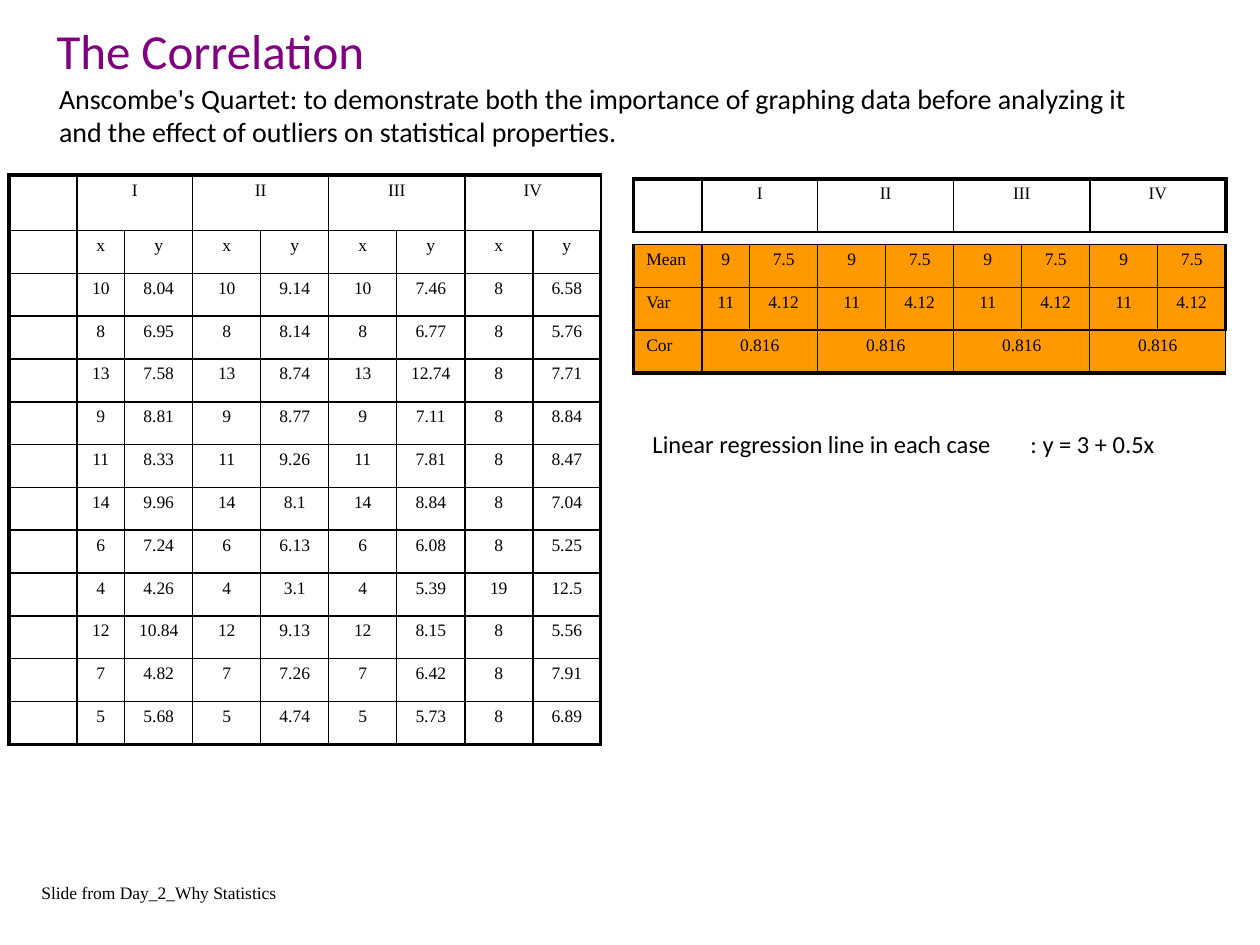
from lxml import etree
from pptx import Presentation
from pptx.dml.color import RGBColor
from pptx.enum.text import MSO_ANCHOR, MSO_AUTO_SIZE, PP_ALIGN
from pptx.oxml.ns import qn
from pptx.util import Inches, Pt

BLACK = RGBColor(0x00, 0x00, 0x00)
PURPLE = RGBColor(0x80, 0x00, 0x80)
ORANGE = RGBColor(0xFF, 0x99, 0x00)
SANS, SERIF = "Calibri", "Times New Roman"
LEFT, CENTER = PP_ALIGN.LEFT, PP_ALIGN.CENTER
TOP, MIDDLE = MSO_ANCHOR.TOP, MSO_ANCHOR.MIDDLE
FIT_SHAPE = MSO_AUTO_SIZE.SHAPE_TO_FIT_TEXT

THIN, THICK = Pt(1), Pt(2.25)
LABEL_WIDTH, NARROW, WIDE = 0.54, 0.38, 0.54
COLUMNS = [LABEL_WIDTH, NARROW] + [WIDE] * 7
ROW_HEIGHT = 0.34
CASES = ["I", "II", "III", "IV"]

SHARED_X = [10, 8, 13, 9, 11, 14, 6, 4, 12, 7, 5]
FOURTH_X = [8, 8, 8, 8, 8, 8, 8, 19, 8, 8, 8]
Y_VALUES = [
    [8.04, 6.95, 7.58, 8.81, 8.33, 9.96, 7.24, 4.26, 10.84, 4.82, 5.68],
    [9.14, 8.14, 8.74, 8.77, 9.26, 8.1, 6.13, 3.1, 9.13, 7.26, 4.74],
    [7.46, 6.77, 12.74, 7.11, 7.81, 8.84, 6.08, 5.39, 8.15, 6.42, 5.73],
    [6.58, 5.76, 7.71, 8.84, 8.47, 7.04, 5.25, 12.5, 5.56, 7.91, 6.89],
]


def style_font(para, name, size, color):
    para.font.name = name
    para.font.size = Pt(size)
    para.font.color.rgb = color


def add_text(slide, area, lines, name, size, color=BLACK, wrap=True, anchor=TOP):
    box = slide.shapes.add_textbox(*(Inches(length) for length in area))
    frame = box.text_frame
    frame.word_wrap = wrap
    frame.auto_size = FIT_SHAPE
    frame.vertical_anchor = anchor
    for index, line in enumerate(lines):
        para = frame.add_paragraph() if index else frame.paragraphs[0]
        para.text = line
        style_font(para, name, size, color)


def set_border(cell, side, width):
    line = etree.SubElement(cell._tc.get_or_add_tcPr(), qn(f"a:ln{side}"), w=str(width))
    fill = etree.SubElement(line, qn("a:solidFill"))
    etree.SubElement(fill, qn("a:srgbClr"), val=str(BLACK))


def fill_cell(cell, text, align, color):
    if color is None:
        cell.fill.background()
    else:
        cell.fill.solid()
        cell.fill.fore_color.rgb = color
    para = cell.text_frame.paragraphs[0]
    para.text = text
    para.alignment = align
    para.line_spacing = 0.95
    style_font(para, SERIF, 10, BLACK)
    if not text:
        cell.margin_top = cell.margin_bottom = 0


def add_grid(slide, left, top, widths, heights, rows, thick_sides, color=None):
    """Add a table with thick outer sides; None in rows joins a cell to its left one."""
    table = slide.shapes.add_table(
        len(rows), len(widths), Inches(left), Inches(top),
        Inches(sum(widths)), Inches(sum(heights))).table
    table.first_row = table.horz_banding = False
    for column, width in zip(table.columns, widths):
        column.width = Inches(width)
    for row, height in zip(table.rows, heights):
        row.height = Inches(height)
    last_row, last_column = len(rows) - 1, len(widths) - 1
    for r, values in enumerate(rows):
        for c, value in enumerate(values):
            cell = table.cell(r, c)
            outer = {"L": c == 0, "R": c == last_column, "T": r == 0, "B": r == last_row}
            for side, is_outer in outer.items():
                thick = is_outer and side in thick_sides
                set_border(cell, side, THICK if thick else THIN)
            fill_cell(cell, "" if value is None else str(value), CENTER if c else LEFT, color)
            if value is None:
                table.cell(r, c - 1).merge(cell)


def paired(values):
    """Follow each value with None so that it spans an x and y column."""
    return [entry for value in values for entry in (value, None)]


def quartet_rows():
    rows = [[""] + paired(CASES), [""] + ["x", "y"] * len(CASES)]
    x_values = [SHARED_X] * 3 + [FOURTH_X]
    for index in range(len(SHARED_X)):
        row = [""]
        for xs, ys in zip(x_values, Y_VALUES):
            row += [xs[index], ys[index]]
        rows.append(row)
    return rows


def main():
    deck = Presentation()
    deck.slide_width, deck.slide_height = Inches(10), Inches(7.5)
    slide = deck.slides.add_slide(deck.slide_layouts[6])

    add_text(slide, (0.35, 0.11, 2.89, 0.57), ["The Correlation"], SANS, 28, PURPLE, wrap=False)
    add_text(slide, (0.37, 0.59, 14.28, 0.64), [
        "Anscombe's Quartet: to demonstrate both the importance of graphing data before analyzing it",
        "and the effect of outliers on statistical properties.",
    ], SANS, 16, anchor=MIDDLE)
    add_text(slide, (5.08, 3.36, 4.65, 0.33),
             ["Linear regression line in each case\t: y = 3 + 0.5x"], SANS, 14)

    data = quartet_rows()
    data_heights = [0.44] + [ROW_HEIGHT] * (len(data) - 1)
    add_grid(slide, 0.07, 1.39, COLUMNS, data_heights, data, "LRTB")

    statistics = [
        ["Mean"] + [9, 7.5] * len(CASES),
        ["Var"] + [11, 4.12] * len(CASES),
        ["Cor"] + paired([0.816] * len(CASES)),
    ]
    add_grid(slide, 5.03, 1.94, COLUMNS, [ROW_HEIGHT] * 3, statistics, "LRB", ORANGE)

    case_widths = [LABEL_WIDTH, NARROW + WIDE] + [2 * WIDE] * 3
    add_grid(slide, 5.03, 1.42, case_widths, [0.42], [[""] + CASES], "LRT")

    add_text(slide, (0.23, 6.95, 4.45, 0.27), ["Slide from Day_2_Why Statistics"], SERIF, 10)
    deck.save("out.pptx")


if __name__ == "__main__":
    main()
